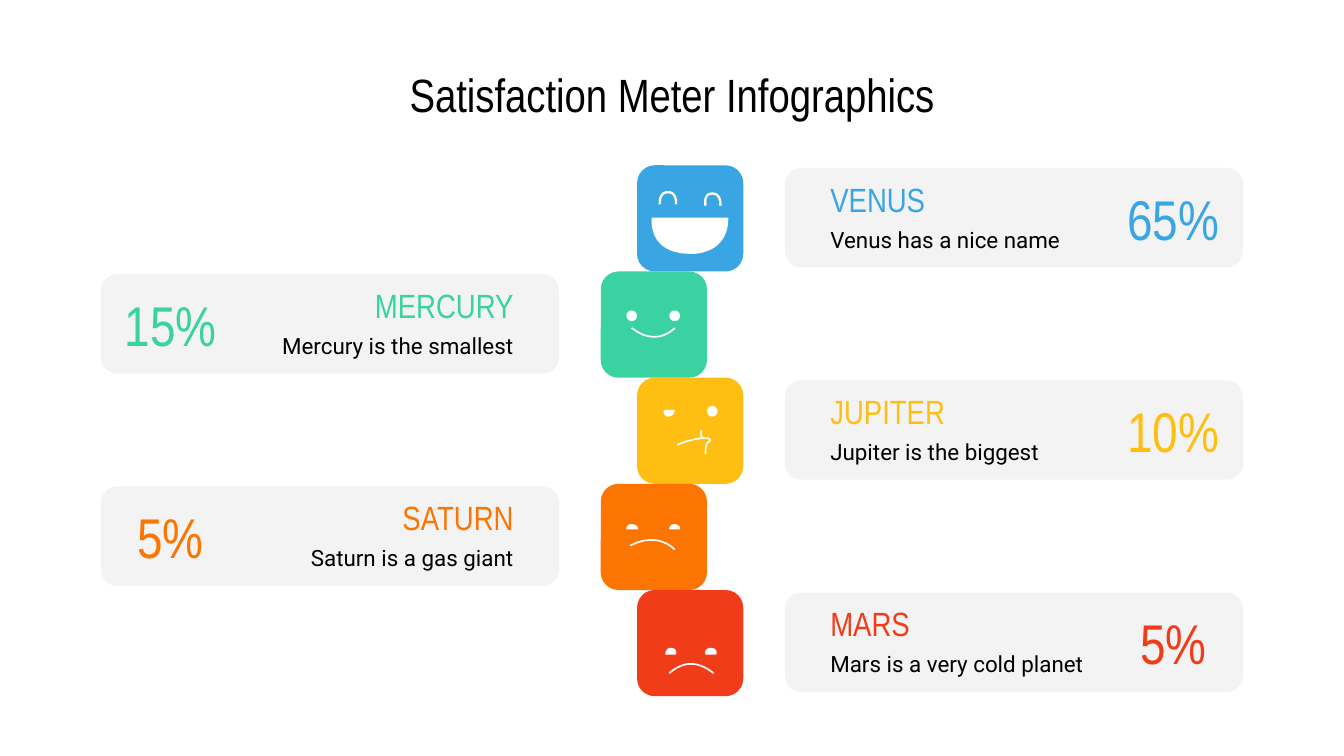
from pptx import Presentation
from pptx.dml.color import RGBColor
from pptx.enum.shapes import MSO_SHAPE as Shape
from pptx.enum.text import MSO_ANCHOR as Anchor, PP_ALIGN as Align
from pptx.util import Pt

PX = 9144  # 100 px to the inch
STEPS = 12  # straight pieces per curve
WHITE, BLACK, GREY = "FFFFFF", "000000", "F3F3F3"
color = RGBColor.from_string


def write(box, text, size=18, font="Arial Narrow", ink=BLACK,
          align=Align.LEFT, anchor=Anchor.MIDDLE):
    frame = box.text_frame
    frame.word_wrap = True
    frame.vertical_anchor = anchor
    frame.margin_left = frame.margin_right = 10 * PX
    frame.margin_top = frame.margin_bottom = 10 * PX
    para = frame.paragraphs[0]
    para.alignment = align
    span = para.add_run()
    span.text = text
    span.font.size = Pt(size)
    span.font.name = font
    span.font.color.rgb = color(ink)


def draw_curve(parts, left, top, points, width=None):
    """Draw joined cubic curves: white and closed, or a stroke if width is given."""
    points = [((left + x) * PX, (top + y) * PX) for x, y in points]
    dots = []
    for k in range(0, len(points) - 1, 3):
        a, b, c, d = points[k:k + 4]
        for step in range(1, STEPS + 1):
            t = step / STEPS
            u = 1 - t
            dots.append([round(u**3 * a[i] + 3 * u * u * t * b[i]
                               + 3 * u * t * t * c[i] + t**3 * d[i]) for i in (0, 1)])
    builder = parts.build_freeform(*points[0])
    builder.add_line_segments(dots, close=width is None)
    curve = builder.convert_to_shape()
    curve.shadow.inherit = False
    if width is None:
        curve.fill.solid()
        curve.fill.fore_color.rgb = color(WHITE)
        curve.line.fill.background()
    else:
        curve.fill.background()
        curve.line.color.rgb = color(WHITE)
        curve.line.width = Pt(width)


deck = Presentation()
deck.slide_width = 1000 * PX
deck.slide_height = deck.slide_width * 9 // 16
page = deck.slides.add_slide(deck.slide_layouts[5])

# Title
title = page.shapes.title
title.left, title.top, title.width, title.height = 50 * PX, 45 * PX, 900 * PX, 50 * PX
write(title, "Satisfaction Meter Infographics", size=25, align=Align.CENTER)

# Levels from best to worst; face parts are measured from the tile's corner
# round: corners of round eyes, solid: filled curves, strokes: (width, curve)
levels = [
    dict(name="VENUS", note="Venus has a nice name", share="65%", ink="39A6E3",
         round=[],
         solid=[[(68, 39), (68, 65), (45, 66), (40, 66), (7, 66), (11, 39), (11, 39)]],
         strokes=[(1.25, [(17, 29), (17, 29), (16, 20), (23, 20),
                          (30, 20), (29, 29), (29, 29)]),
                  (1.25, [(51, 30), (51, 30), (49, 21), (56, 21),
                          (63, 21), (62, 30), (62, 30)])]),
    dict(name="MERCURY", note="Mercury is the smallest", share="15%", ink="39D2A0",
         round=[(19, 29), (51, 29)],
         solid=[],
         strokes=[(0.9, [(55, 42), (55, 42), (42, 57), (23, 42)])]),
    dict(name="JUPITER", note="Jupiter is the biggest", share="10%", ink="FFBE12",
         round=[(52, 21)],
         solid=[[(20, 24), (19, 26), (21, 29), (23, 29), (26, 29), (28, 27), (28, 24)]],
         strokes=[(0.9, [(30, 50), (37, 47), (44, 45), (51, 45), (55, 45),
                         (55, 47), (53, 48), (51, 50), (51, 53), (51, 57)]),
                  (0.9, [(48, 39), (47, 42), (48, 44), (49, 45)])]),
    dict(name="SATURN", note="Saturn is a gas giant", share="5%", ink="FC7500",
         round=[],
         solid=[[(51, 34), (51, 31), (53, 30), (55, 30), (57, 30), (60, 32), (59, 34)],
                [(19, 34), (19, 31), (21, 30), (23, 30), (26, 30), (28, 32), (28, 34)]],
         strokes=[(0.9, [(55, 49), (55, 49), (43, 35), (22, 46)])]),
    dict(name="MARS", note="Mars is a very cold planet", share="5%", ink="F13C19",
         round=[],
         solid=[[(51, 48), (50, 45), (52, 43), (55, 43), (58, 43), (60, 45), (59, 48)],
                [(21, 48), (21, 45), (23, 43), (25, 43), (28, 43), (30, 45), (29, 48)]],
         strokes=[(0.9, [(24, 62), (24, 62), (31, 55), (40, 55),
                         (45, 55), (51, 57), (57, 62)])]),
]

TILE = 79
for row, level in enumerate(levels):
    parts = page.shapes.add_group_shape().shapes
    ink = level["ink"]
    top = 123 + row * TILE
    card_top = top + 2
    # Odd rows sit on the left, the others on the right
    if row % 2:
        tile_left, card_left, text_left, share_left = 447, 75, 179, 75
        align = Align.RIGHT
    else:
        tile_left, card_left, text_left, share_left = 474, 584, 608, 821
        align = Align.LEFT

    # Tile, card and round eyes
    pieces = [(Shape.ROUNDED_RECTANGLE, tile_left, top, TILE, TILE, ink),
              (Shape.ROUNDED_RECTANGLE, card_left, card_top, 341, 74, GREY)]
    pieces += [(Shape.OVAL, tile_left + x, top + y, 8, 8, WHITE)
               for x, y in level["round"]]
    for kind, *place, fill in pieces:
        piece = parts.add_shape(kind, *[length * PX for length in place])
        piece.shadow.inherit = False
        piece.fill.solid()
        piece.fill.fore_color.rgb = color(fill)
        piece.line.fill.background()

    # Other face parts
    for points in level["solid"]:
        draw_curve(parts, tile_left, top, points)
    for width, points in level["strokes"]:
        draw_curve(parts, tile_left, top, points, width=width)

    # Name, note and share
    name = parts.add_textbox(text_left * PX, (card_top + 5) * PX, 213 * PX, 36 * PX)
    write(name, level["name"], ink=ink, align=align)
    note = parts.add_textbox(text_left * PX, (card_top + 33) * PX, 213 * PX, 36 * PX)
    write(note, level["note"], size=12, font="Roboto", align=align, anchor=Anchor.TOP)
    share = parts.add_textbox(share_left * PX, card_top * PX, 104 * PX, 74 * PX)
    write(share, level["share"], size=30, ink=ink, align=Align.CENTER)

deck.save("out.pptx")
